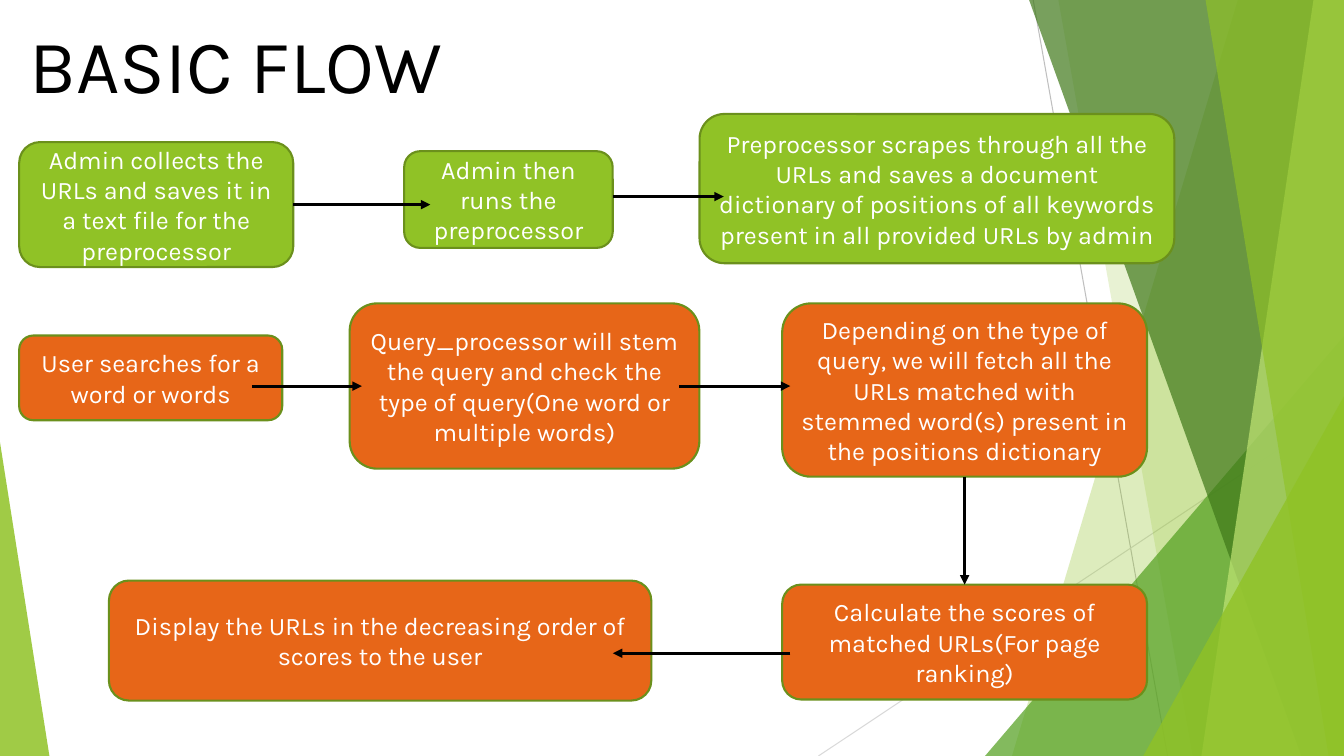
from lxml.etree import SubElement
from pptx import Presentation
from pptx.dml.color import RGBColor
from pptx.enum.shapes import MSO_CONNECTOR as Line, MSO_SHAPE as Preset
from pptx.enum.text import MSO_ANCHOR as Anchor, MSO_AUTO_SIZE as AutoSize, PP_ALIGN as Align
from pptx.oxml.ns import qn
from pptx.util import Pt

LIME, ORANGE, MOSS = "90C226", "E76618", "6B901C"
BLACK, WHITE = "000000", "FFFFFF"
TOP, LEFT, BOTTOM, RIGHT = range(4)
STEP_FONT = {"name": "Karla", "size": Pt(18)}
STEP_FRAME = {"word_wrap": True, "vertical_anchor": Anchor.MIDDLE}
TITLE_FONT = {"name": "Karla", "size": Pt(54), "bold": False}
TITLE_FRAME = {"word_wrap": True, "vertical_anchor": Anchor.TOP,
               "auto_size": AutoSize.NONE}


def apply(target, values):
    for name, value in values.items():
        setattr(target, name, value)


def paint(fill, color, opacity=100):
    fill.solid()
    fill.fore_color.rgb = RGBColor.from_string(color)
    if opacity < 100:
        tint = fill._xPr.find(qn("a:solidFill"))[0]
        SubElement(tint, qn("a:alpha")).set("val", str(opacity * 1000))


def add_line(slide, box, start, end, color, width):
    left, top = box[:2]
    line = slide.shapes.add_connector(
        Line.STRAIGHT, Pt(left + start[0]), Pt(top + start[1]),
        Pt(left + end[0]), Pt(top + end[1]))
    paint(line.line.fill, color)
    line.line.width = Pt(width)
    SubElement(line.element.spPr, qn("a:effectLst"))
    return line


def add_arrow(slide, box, start, end, source=None, target=None):
    arrow = add_line(slide, box, start, end, BLACK, 2.25)
    head = SubElement(arrow.element.spPr.find(qn("a:ln")), qn("a:tailEnd"))
    head.set("type", "triangle")
    if source:
        arrow.begin_connect(*source)
    if target:
        arrow.end_connect(*target)


def finish_facet(facet, color, opacity):
    facet.shadow.inherit = False
    paint(facet.fill, color, opacity)
    facet.line.fill.background()


def add_band(slide, box, top_x, bottom_x, color, opacity):
    left, top, width, height = box
    corners = [(width, 0), (width, height), (bottom_x, height)]
    outline = slide.shapes.build_freeform(Pt(left + top_x), Pt(top))
    outline.add_line_segments([(Pt(left + x), Pt(top + y)) for x, y in corners])
    finish_facet(outline.convert_to_shape(), color, opacity)


def add_wedge(slide, box, x, width, height, apex, color, opacity):
    left, top, _, full_height = box
    wedge = slide.shapes.add_shape(
        Preset.ISOSCELES_TRIANGLE, Pt(left + x), Pt(top + full_height - height),
        Pt(width), Pt(height))
    wedge.adjustments[0] = apex
    finish_facet(wedge, color, opacity)


def add_backdrop(slide, box):
    add_line(slide, box, (738, 0), (834, 540), "BFBFBF", 0.75)
    add_line(slide, box, (960, 290), (584.6, 540), "D9D9D9", 0.75)
    add_band(slide, box, 884.2, 722.9, LIME, 30)
    add_band(slide, box, 756, 851.8, LIME, 20)
    add_wedge(slide, box, 703.6, 256.4, 300, 1, "54A021", 72)
    add_band(slide, box, 735.1, 929.5, "3F7819", 70)
    add_band(slide, box, 938.2, 858.2, "C0E474", 70)
    add_band(slide, box, 861.1, 949, LIME, 65)
    add_wedge(slide, box, 816.6, 143.4, 257, 1, LIME, 80)
    add_wedge(slide, box, 0, 35.3, 224, 0, LIME, 85)


def add_title(slide, box):
    title = slide.shapes.title
    apply(title, dict(zip(("left", "top", "width", "height"), map(Pt, box))))
    frame = title.text_frame
    frame.text = "BASIC FLOW"
    apply(frame, TITLE_FRAME)
    heading = frame.paragraphs[0]
    heading.alignment = Align.JUSTIFY
    apply(heading.font, TITLE_FONT)
    paint(heading.font.fill, BLACK)


def add_step(slide, box, place, color, wording):
    x, y, width, height = place
    step = slide.shapes.add_shape(
        Preset.ROUNDED_RECTANGLE, Pt(box[0] + x), Pt(box[1] + y),
        Pt(width), Pt(height))
    step.shadow.inherit = False
    paint(step.fill, color)
    paint(step.line.fill, MOSS)
    step.line.width = Pt(1.5)
    frame = step.text_frame
    frame.text = wording
    apply(frame, STEP_FRAME)
    label = frame.paragraphs[0]
    label.alignment = Align.CENTER
    apply(label.font, STEP_FONT)
    paint(label.font.fill, WHITE)
    return step


def add_admin_flow(slide, box):
    collect = add_step(
        slide, box, (0, 20.1, 195.8, 89.3), LIME,
        "Admin collects the URLs and saves it in a text file for the preprocessor")
    add_step(slide, box, (275, 26.6, 149, 69.1), LIME,
             "Admin then runs the preprocessor")
    add_step(slide, box, (486, 0, 339.1, 106.6), LIME,
             "Preprocessor scrapes through all the URLs and saves a document "
             "dictionary of positions of all keywords present in all provided "
             "URLs by admin")
    add_arrow(slide, box, (195.8, 64.75), (293.7, 64.75), source=(collect, RIGHT))
    add_arrow(slide, box, (424, 59), (503.3, 59))


def add_user_flow(slide, box):
    add_step(slide, box, (0, 23, 187.9, 60.5), ORANGE,
             "User searches for a word or words")
    add_step(slide, box, (236.1, 0, 249.8, 118.1), ORANGE,
             "Query_processor will stem the query and check the type of "
             "query(One word or multiple words)")
    fetch = add_step(
        slide, box, (545, 0, 260.6, 123.8), ORANGE,
        "Depending on the type of query, we will fetch all the URLs matched "
        "with stemmed word(s) present in the positions dictionary")
    score = add_step(
        slide, box, (545, 200.9, 260.6, 82.1), ORANGE,
        "Calculate the scores of matched URLs(For page ranking)")
    add_step(slide, box, (64.1, 198, 387.4, 85.7), ORANGE,
             "Display the URLs in the decreasing order of scores to the user")
    add_arrow(slide, box, (166.3, 59.1), (244.8, 59.1))
    add_arrow(slide, box, (471.6, 59.1), (550.8, 59.1))
    add_arrow(slide, box, (675.3, 123.8), (675.3, 200.9),
              source=(fetch, BOTTOM), target=(score, TOP))
    add_arrow(slide, box, (550.8, 249.9), (424.1, 249.9))


def main():
    deck = Presentation()
    apply(deck, {"slide_width": Pt(960), "slide_height": Pt(540)})
    slide = deck.slides.add_slide(deck.slide_layouts[5])
    paint(slide.background.fill, WHITE)
    add_backdrop(slide, (0, 0, 960, 540))
    add_title(slide, (13.7, 9.4, 339, 72.7))
    add_admin_flow(slide, (13.7, 81.4, 825.1, 109.4))
    add_user_flow(slide, (13.7, 216.7, 805.6, 283.7))
    deck.save("out.pptx")


if __name__ == "__main__":
    main()
